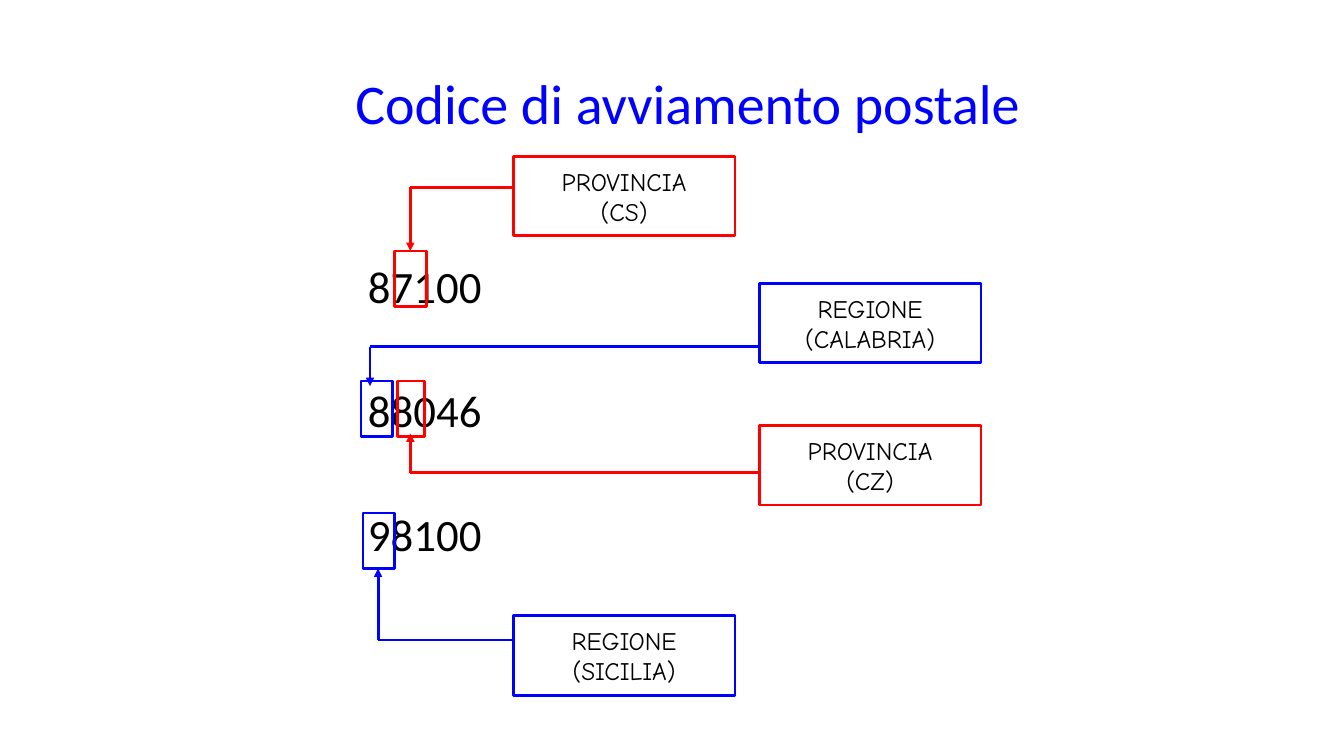
"""Build the slide on Italian postal codes, with region and province digits marked."""
from lxml import etree
from pptx import Presentation
from pptx import util as u
from pptx.dml.color import RGBColor
from pptx.enum import shapes, text
from pptx.oxml.ns import qn

COLOURS = {"province": "FF0000", "region": "0000FF", "title": "0000FF", "text": "000000"}
TITLE = "Codice di avviamento postale"
CODES = ["87100", "88046", "98100"]
CODE_LEFT, CODE_TOP, CODE_GAP = 3.65, 2.57, 50.2
LABEL_SIZE = (2.2, 0.79)
LINE_WIDTH = 2

DIGIT_FRAMES = [
    ("province", (3.91, 2.49, 0.32, 0.55)),
    ("region", (3.6, 5.09, 0.31, 0.55)),
    ("region", (3.58, 3.78, 0.31, 0.55)),
    ("province", (3.94, 3.78, 0.27, 0.55)),
]
CALLOUTS = [
    {"kind": "province", "lines": ["PROVINCIA", "(CS)"], "label": (5.09, 1.55),
     "corner": (4.07, 1.86), "tip": 2.49},
    {"kind": "region", "lines": ["REGIONE", "(CALABRIA)"], "label": (7.53, 2.81),
     "corner": (3.67, 3.44), "tip": 3.83},
    {"kind": "province", "lines": ["PROVINCIA", "(CZ)"], "label": (7.53, 4.22),
     "corner": (4.07, 4.69), "tip": 4.3},
    {"kind": "region", "lines": ["REGIONE", "(SICILIA)"], "label": (5.09, 6.11),
     "corner": (3.75, 6.35), "tip": 5.64},
]


def colour(name):
    return RGBColor.from_string(COLOURS[name])


def write(box, lines, name, size, ink, align, gap=0):
    frame = box.text_frame
    frame.text = "\n".join(lines)
    for number, para in enumerate(frame.paragraphs):
        para.alignment = align
        para.space_before = u.Pt(gap if number else 0)
        for span in para.runs:
            for key, value in {"name": name, "size": u.Pt(size)}.items():
                setattr(span.font, key, value)
            span.font.color.rgb = colour(ink)


def add_frame(page, kind, place):
    box = page.shapes.add_shape(shapes.MSO_SHAPE.RECTANGLE, *map(u.Inches, place))
    box.shadow.inherit = False
    box.fill.background()
    box.line.color.rgb = colour(kind)
    box.line.width = u.Pt(LINE_WIDTH)
    return box


def add_line(page, kind, start, end, arrow=False):
    line = page.shapes.add_connector(
        shapes.MSO_CONNECTOR.STRAIGHT, *map(u.Inches, (*start, *end)))
    line.line.color.rgb = colour(kind)
    line.line.width = u.Pt(LINE_WIDTH)
    if arrow:
        etree.SubElement(line.line._get_or_add_ln(), qn("a:tailEnd"), type="triangle")
    etree.SubElement(line._element.spPr, qn("a:effectLst"))


def add_callout(page, kind, lines, label, corner, tip):
    box = add_frame(page, kind, (*label, *LABEL_SIZE))
    box.text_frame.word_wrap = False
    box.text_frame.vertical_anchor = text.MSO_ANCHOR.MIDDLE
    write(box, lines, "Comic Neue", 18, "text", text.PP_ALIGN.CENTER)
    add_line(page, kind, corner, (corner[0], tip), arrow=True)
    add_line(page, kind, corner, (label[0], corner[1]))


def main():
    deck = Presentation()
    deck.slide_width, deck.slide_height = u.Inches(13.33), u.Inches(7.5)
    page = deck.slides.add_slide(deck.slide_layouts[5])

    title = page.shapes.title
    place = {"left": 2.57, "top": 0.21, "width": 8.5, "height": 1.61}
    for key, value in place.items():
        setattr(title, key, u.Inches(value))
    title.text_frame.vertical_anchor = text.MSO_ANCHOR.MIDDLE
    write(title, [TITLE], "Calibri", 40, "title", text.PP_ALIGN.CENTER)

    codes = page.shapes.add_textbox(*map(u.Inches, (CODE_LEFT, CODE_TOP, 2, 3.1)))
    codes.text_frame.word_wrap = True
    for side in ("left", "top", "right", "bottom"):
        setattr(codes.text_frame, f"margin_{side}", 0)
    write(codes, CODES, "Calibri", 32, "text", text.PP_ALIGN.LEFT, CODE_GAP)

    for kind, place in DIGIT_FRAMES:
        add_frame(page, kind, place)
    for callout in CALLOUTS:
        add_callout(page, **callout)
    deck.save("out.pptx")


if __name__ == "__main__":
    main()
